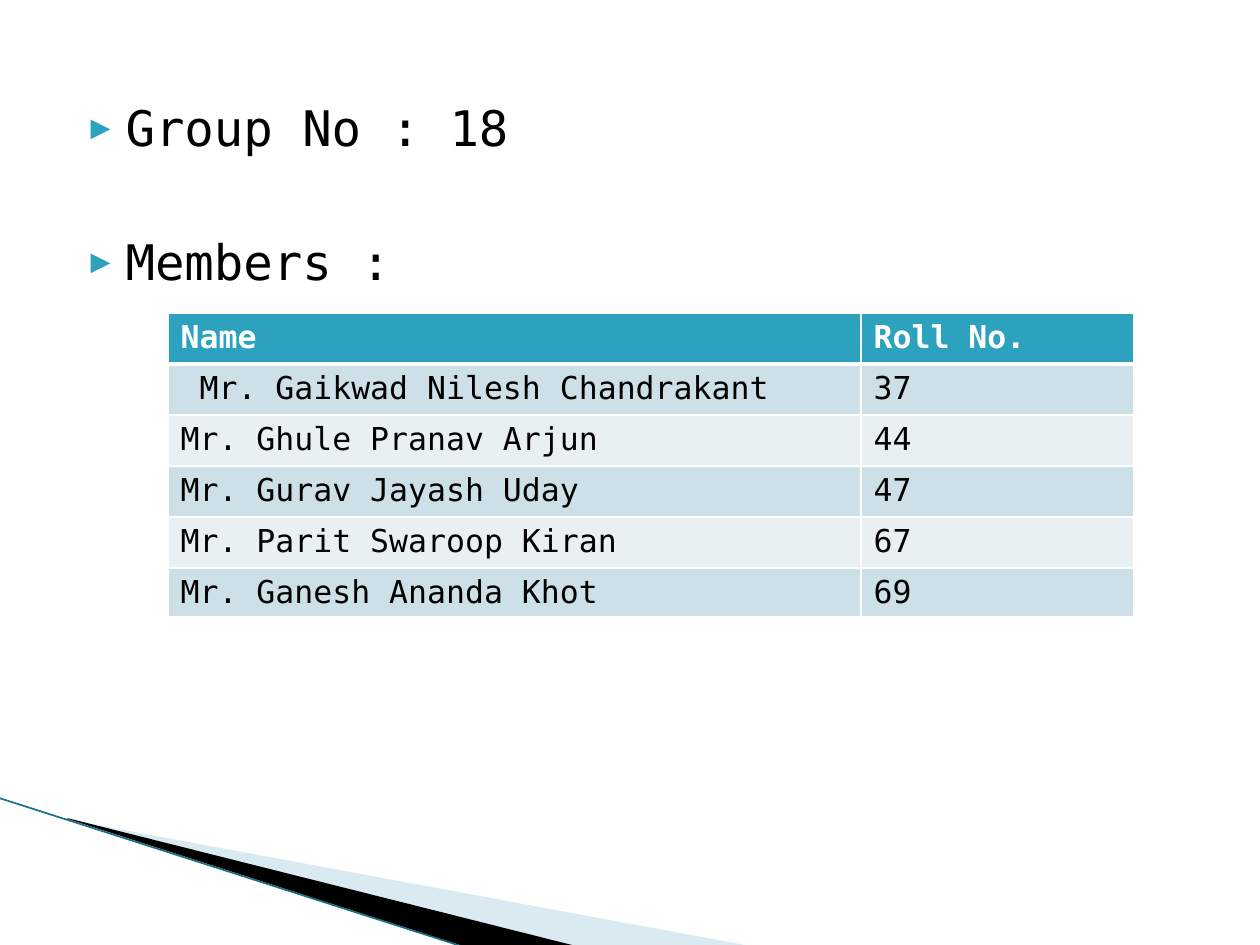
from lxml import etree
from pptx import Presentation
from pptx.dml.color import RGBColor
from pptx.enum.shapes import MSO_CONNECTOR
from pptx.oxml.ns import qn
from pptx.util import Emu, Pt

STRAIGHT = MSO_CONNECTOR.STRAIGHT
PX = 914400 / 126
FONT = "DejaVu Sans Mono"
COLORS = {"black": "000000", "white": "FFFFFF", "teal": "2DA2BF", "edge": "1A7080",
          "wedge": "A0CBDC", "odd": "CDE0E8", "even": "E8F0F4"}

# text, space before in points
BULLETS = [("Group No : 18", 4), ("Members :", 43)]
MEMBERS = [
    ("Name", "Roll No."),
    (" Mr. Gaikwad Nilesh Chandrakant", "37"),
    ("Mr. Ghule Pranav Arjun", "44"),
    ("Mr. Gurav Jayash Uday", "47"),
    ("Mr. Parit Swaroop Kiran", "67"),
    ("Mr. Ganesh Ananda Khot", "69"),
]
COLUMN_WIDTHS = [693, 273]
ROW_HEIGHTS = [51] * 5 + [49]
# colour, opacity in percent, corners
WEDGES = [
    ("wedge", 40, [(69, 820), (750, 946), (575, 946), (69, 819)]),
    ("black", 100, [(67, 818), (576, 946), (469, 948), (68, 819)]),
]
EDGE_LINE = (-1, 798, 467, 948)


def px(value):
    return Emu(round(value * PX))


def rgb(name):
    return RGBColor.from_string(COLORS[name])


def sub(parent, tag, **attributes):
    return etree.SubElement(parent, qn(tag), attributes)


def add_span(para, text, size, color, bold=False):
    span = para.add_run()
    span.text = text
    span.font.name, span.font.size, span.font.bold = FONT, Pt(size), bold
    span.font.color.rgb = rgb(color)


def add_wedge(page, color, opacity, corners):
    builder = page.shapes.build_freeform(*corners[0], scale=PX)
    builder.add_line_segments(corners[1:], close=True)
    wedge = builder.convert_to_shape()
    wedge.shadow.inherit = False
    wedge.line.fill.background()
    wedge.fill.solid()
    wedge.fill.fore_color.rgb = rgb(color)
    if opacity < 100:
        fill_color = wedge._element.spPr.find(".//" + qn("a:srgbClr"))
        sub(fill_color, "a:alpha", val=str(opacity * 1000))


def add_edge_line(page):
    line = page.shapes.add_connector(STRAIGHT, *map(px, EDGE_LINE))
    line.line.color.rgb = rgb("edge")
    line.line.width = Pt(0.95)
    sub(line._element.spPr, "a:effectLst")


def set_bullet(para):
    """Give the paragraph a hanging teal triangle."""
    props = para._p.get_or_add_pPr()
    props.set("marL", str(px(50)))
    props.set("indent", str(px(-35)))
    sub(sub(props, "a:buClr"), "a:srgbClr", val=COLORS["teal"])
    sub(props, "a:buSzPct", val="68000")
    sub(props, "a:buFont", typeface=FONT)
    sub(props, "a:buChar", char="▶")


def fill_body(body):
    body.left, body.top, body.width, body.height = map(px, (63, 91, 1134, 624))
    frame = body.text_frame
    for index, (text, space) in enumerate(BULLETS):
        para = frame.add_paragraph() if index else frame.paragraphs[0]
        para.space_before = Pt(space)
        set_bullet(para)
        add_span(para, text, 28, "black")


def set_borders(cell, bottom):
    props = cell._tc.get_or_add_tcPr()
    widths = {"a:lnL": 1, "a:lnR": 1, "a:lnT": 1, "a:lnB": bottom}
    for position, (tag, width) in enumerate(widths.items()):
        border = etree.Element(qn(tag), w=str(Pt(width)))
        sub(sub(border, "a:solidFill"), "a:srgbClr", val=COLORS["white"])
        props.insert(position, border)


def add_members(page):
    frame = page.shapes.add_table(len(MEMBERS), len(COLUMN_WIDTHS), px(168), px(313),
                                  px(sum(COLUMN_WIDTHS)), px(sum(ROW_HEIGHTS)))
    table = frame.table
    for column, width in zip(table.columns, COLUMN_WIDTHS):
        column.width = px(width)
    for row, height in zip(table.rows, ROW_HEIGHTS):
        row.height = px(height)
    for r, values in enumerate(MEMBERS):
        header = r == 0
        fill = "teal" if header else "odd" if r % 2 else "even"
        for c, text in enumerate(values):
            cell = table.cell(r, c)
            cell.fill.solid()
            cell.fill.fore_color.rgb = rgb(fill)
            set_borders(cell, 3 if header else 1)
            add_span(cell.text_frame.paragraphs[0], text, 18,
                     "white" if header else "black", header)


def main():
    deck = Presentation()
    deck.slide_width, deck.slide_height = px(1260), px(945)
    page = deck.slides.add_slide(deck.slide_layouts[1])
    title = page.shapes.title._element
    title.getparent().remove(title)
    for wedge in WEDGES:
        add_wedge(page, *wedge)
    add_edge_line(page)
    fill_body(page.placeholders[1])
    add_members(page)
    deck.save("out.pptx")


if __name__ == "__main__":
    main()
